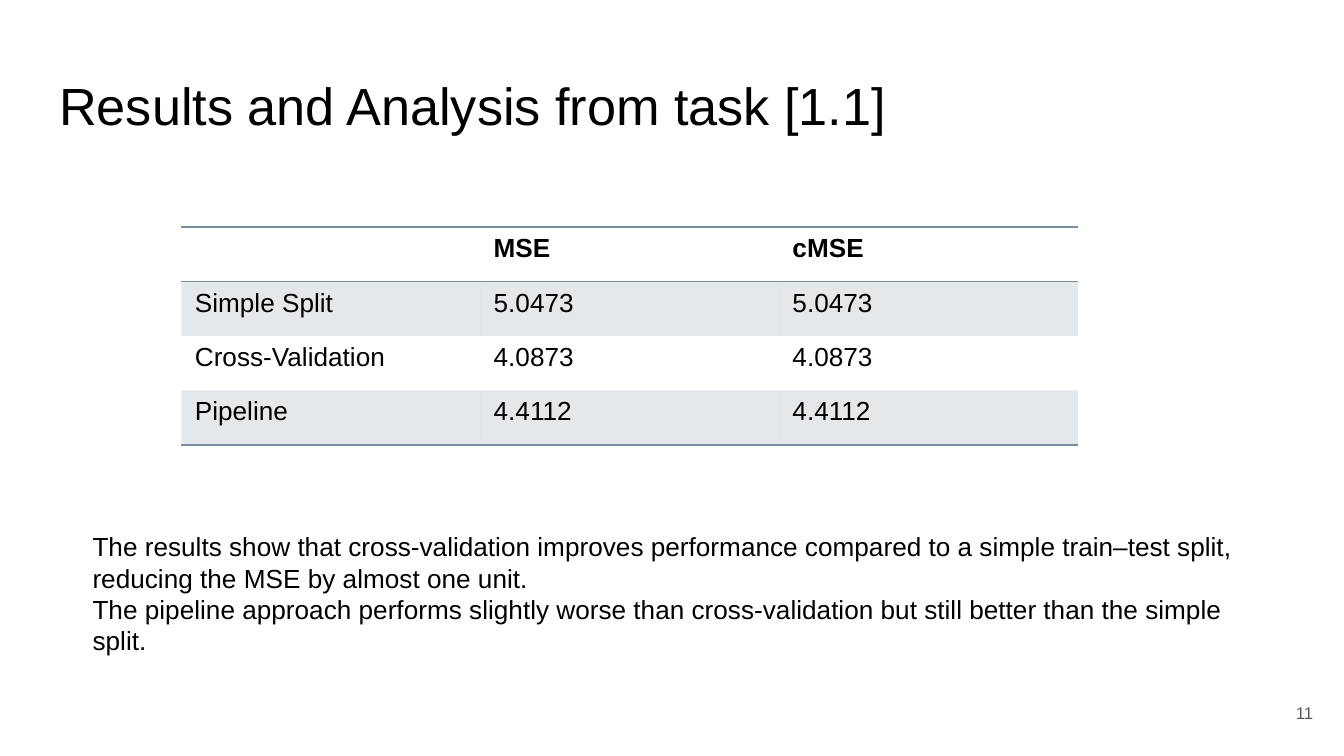
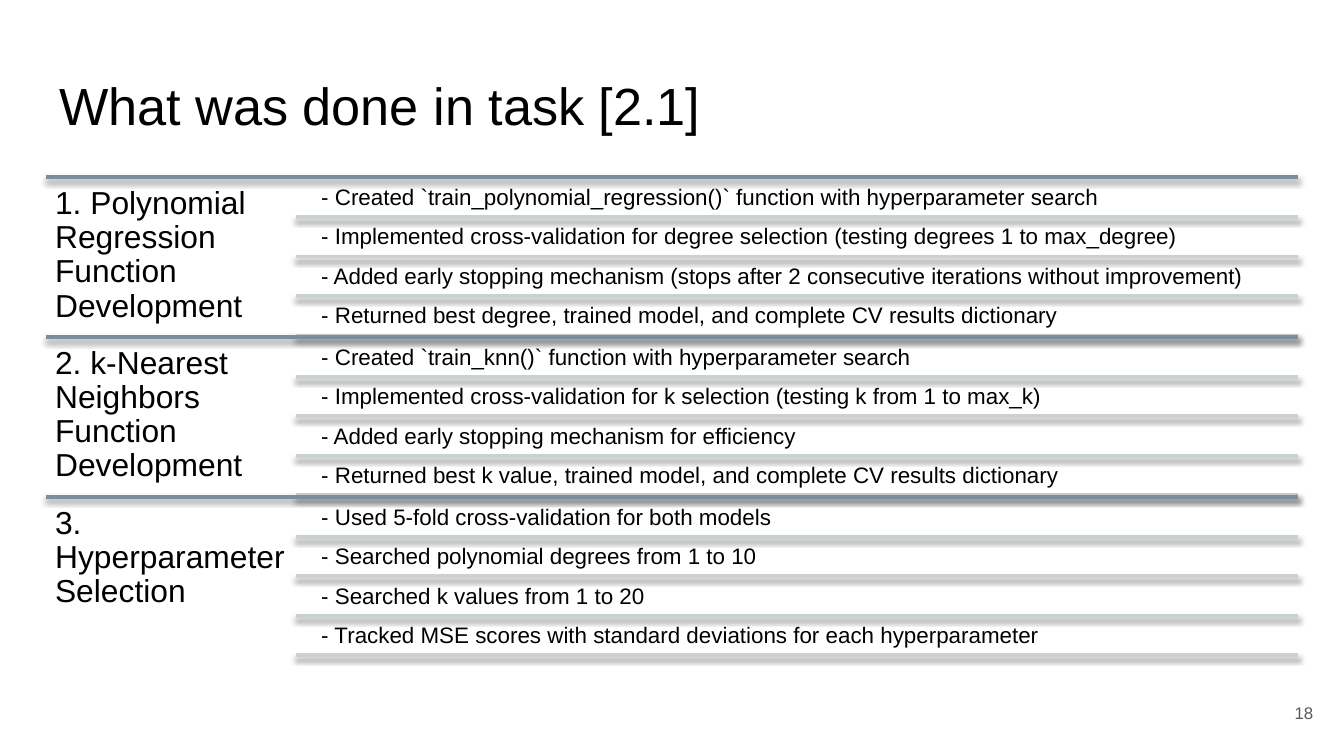
from lxml import etree
from pptx import Presentation
from pptx import util as u
from pptx.dml.color import RGBColor
from pptx.enum import shapes, text
from pptx.oxml import ns

FONT = "Arial"
BLACK, GREY, SLATE, PALE = "000000", "595959", "78909C", "CAD1D5"

RESULTS_TITLE = "Results and Analysis from task [1.1]"
RESULTS = [
    ("", "MSE", "cMSE"),
    ("Simple Split", "5.0473", "5.0473"),
    ("Cross-Validation", "4.0873", "4.0873"),
    ("Pipeline", "4.4112", "4.4112"),
]
FINDINGS = [
    "The results show that cross-validation improves performance compared to a simple "
    "train–test split, reducing the MSE by almost one unit.",
    "The pipeline approach performs slightly worse than cross-validation but still "
    "better than the simple split.",
]

WORK_TITLE = "What was done in task [2.1]"
WORK = [
    ("1. Polynomial Regression Function Development", [
        "- Created `train_polynomial_regression()` function with hyperparameter search",
        "- Implemented cross-validation for degree selection (testing degrees 1 to max_degree)",
        "- Added early stopping mechanism (stops after 2 consecutive iterations without improvement)",
        "- Returned best degree, trained model, and complete CV results dictionary",
    ]),
    ("2. k-Nearest Neighbors Function Development", [
        "- Created `train_knn()` function with hyperparameter search",
        "- Implemented cross-validation for k selection (testing k from 1 to max_k)",
        "- Added early stopping mechanism for efficiency",
        "- Returned best k value, trained model, and complete CV results dictionary",
    ]),
    ("3. Hyperparameter Selection", [
        "- Used 5-fold cross-validation for both models",
        "- Searched polynomial degrees from 1 to 10",
        "- Searched k values from 1 to 20",
        "- Tracked MSE scores with standard deviations for each hyperparameter",
    ]),
]

LEFT, RIGHT, ITEM_LEFT, RULE_LEFT = 0.34, 9.66, 2.34, 2.2
WORK_TOP, SECTION_HEIGHT = 1.32, 1.19
ITEM_HEIGHT = 0.28
ITEM_GAP = ITEM_HEIGHT / 20
TABLE_STYLE = "{2D5ABB26-0587-4C30-8999-92F81FD0307C}"


def color(value):
    """Turn a hex string into a colour."""
    return RGBColor.from_string(value)


def add_element(parent, tag, **attributes):
    """Append a drawing element to its parent."""
    return etree.SubElement(parent, ns.qn(tag), {key: str(value) for key, value in attributes.items()})


def write(frame, paragraphs, size, ink=BLACK, bold=False, spacing=None, after=None,
          align=text.PP_ALIGN.LEFT, anchor=text.MSO_ANCHOR.TOP, inset=None):
    """Fill a text frame with formatted paragraphs."""
    frame.word_wrap = True
    if inset is not None:
        frame.margin_left = frame.margin_right = u.Inches(inset)
        frame.margin_top = frame.margin_bottom = u.Inches(inset)
    frame.vertical_anchor = anchor
    for index, words in enumerate(paragraphs):
        paragraph = frame.add_paragraph() if index else frame.paragraphs[0]
        paragraph.alignment = align
        if spacing:
            paragraph.line_spacing = spacing
        if after:
            paragraph.space_after = u.Pt(after)
        run = paragraph.add_run()
        run.text = words
        run.font.name, run.font.size, run.font.bold = FONT, u.Pt(size), bold
        run.font.color.rgb = color(ink)


def add_text(slide, box, paragraphs, size, **style):
    """Add a text box and write into it."""
    frame = slide.shapes.add_textbox(*map(u.Inches, box)).text_frame
    write(frame, paragraphs, size, **style)
    return frame


def add_rule(slide, left, top, ink):
    """Draw a shadowed horizontal line to the right margin."""
    rule = slide.shapes.add_connector(
        shapes.MSO_CONNECTOR.STRAIGHT, *map(u.Inches, (left, top, RIGHT, top)))
    rule.line.color.rgb = color(ink)
    rule.line.width = u.Pt(2)
    effects = add_element(rule._element.spPr, "a:effectLst")
    shadow = add_element(effects, "a:outerShdw", blurRad=40000, dist=20000, dir=5400000, rotWithShape=0)
    add_element(add_element(shadow, "a:srgbClr", val=BLACK), "a:alpha", val=38000)


def add_border(cell, side):
    """Draw one slate border of a table cell."""
    line = add_element(cell._tc.get_or_add_tcPr(), f"a:ln{side}", w=u.Pt(1))
    add_element(add_element(line, "a:solidFill"), "a:srgbClr", val=SLATE)


def add_page(presentation, title, number):
    """Add a slide with its title and page number."""
    slide = presentation.slides.add_slide(presentation.slide_layouts[5])
    shape = slide.shapes.title
    shape.left, shape.top, shape.width, shape.height = map(u.Inches, (LEFT, 0.49, RIGHT - LEFT, 0.63))
    shape.text_frame.auto_size = text.MSO_AUTO_SIZE.NONE
    shared = {"spacing": 0.9, "anchor": text.MSO_ANCHOR.MIDDLE, "inset": 0.1}
    write(shape.text_frame, [title], 28, **shared)
    add_text(slide, (9.27, 5.1, 0.6, 0.43), [number], 9, ink=GREY, after=6,
             align=text.PP_ALIGN.RIGHT, **shared)
    return slide


def add_results_table(slide):
    """Add the banded table of errors."""
    rows, columns = len(RESULTS), len(RESULTS[0])
    box = map(u.Inches, (1.35, 1.69, 6.67, 1.62))
    table = slide.shapes.add_table(rows, columns, *box).table
    table._tbl.tblPr.find(ns.qn("a:tableStyleId")).text = TABLE_STYLE
    for row, values in enumerate(RESULTS):
        for column, value in enumerate(values):
            cell = table.cell(row, column)
            if row == 0:
                add_border(cell, "T")
            if row in (0, rows - 1):
                add_border(cell, "B")
            if row % 2:
                cell.fill.solid()
                cell.fill.fore_color.rgb = color(SLATE)
                tint = cell._tc.tcPr.find(ns.qn("a:solidFill"))[0]
                add_element(tint, "a:alpha", val=20000)
            else:
                cell.fill.background()
            if value:
                write(cell.text_frame, [value], 14, bold=row == 0)


def add_section(slide, top, heading, items):
    """Add a heading with its ruled list of items."""
    add_rule(slide, LEFT, top, SLATE)
    add_text(slide, (LEFT, top, RULE_LEFT - LEFT, SECTION_HEIGHT), [heading], 17, spacing=0.9, inset=0.07)
    for index, item in enumerate(items):
        item_top = top + ITEM_GAP + index * (ITEM_HEIGHT + ITEM_GAP)
        add_text(slide, (ITEM_LEFT, item_top, RIGHT - ITEM_LEFT, ITEM_HEIGHT), [item], 12,
                 spacing=0.9, inset=0.05)
        add_rule(slide, RULE_LEFT, item_top + ITEM_HEIGHT, PALE)


def main():
    """Build and save the presentation."""
    presentation = Presentation()
    presentation.slide_width = u.Inches(10)
    presentation.slide_height = presentation.slide_width * 9 // 16

    results = add_page(presentation, RESULTS_TITLE, "11")
    add_results_table(results)
    findings = add_text(results, (0.59, 3.9, 8.81, 1.04), FINDINGS, 14)
    findings.auto_size = text.MSO_AUTO_SIZE.SHAPE_TO_FIT_TEXT

    work = add_page(presentation, WORK_TITLE, "18")
    for index, (heading, items) in enumerate(WORK):
        add_section(work, WORK_TOP + index * SECTION_HEIGHT, heading, items)

    presentation.save("out.pptx")


if __name__ == "__main__":
    main()
